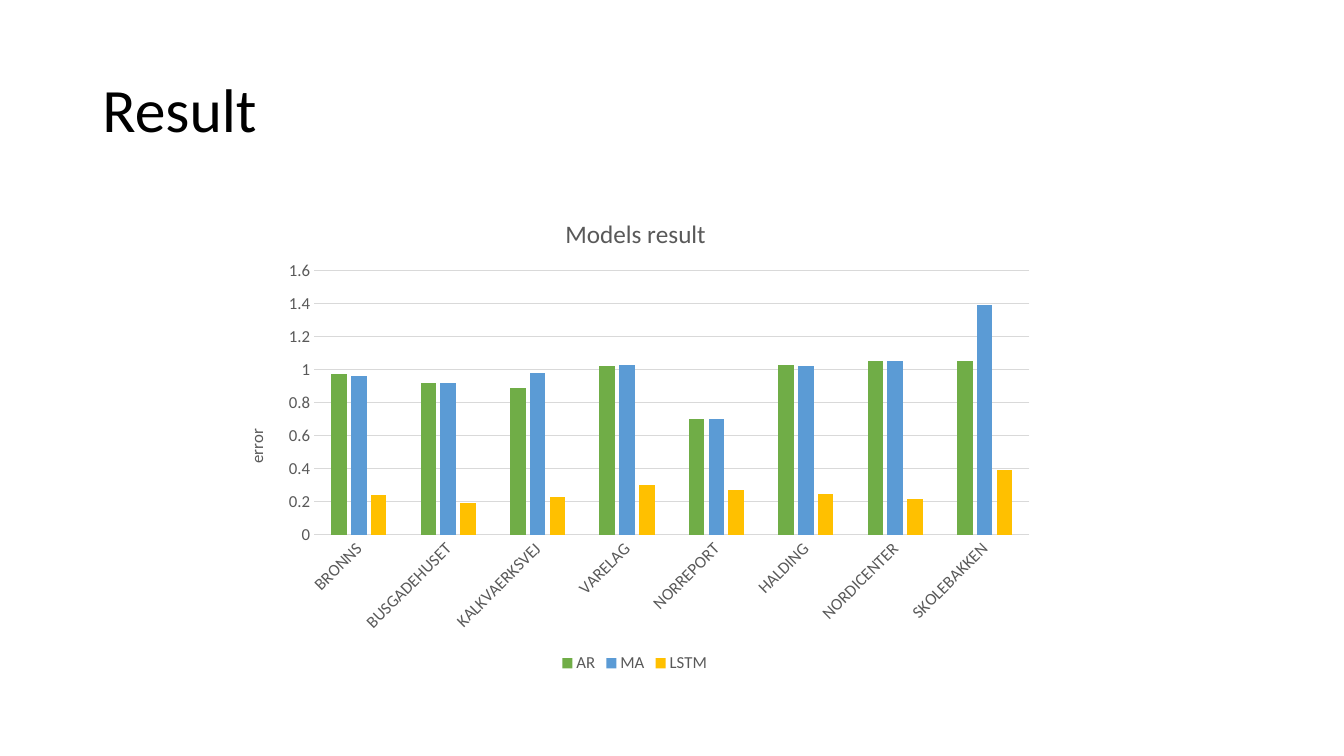
from dataclasses import dataclass

from lxml.etree import SubElement
from pptx import Presentation
from pptx.chart.chart import Chart
from pptx.chart.data import CategoryChartData
from pptx.dml.color import RGBColor
from pptx.enum.chart import XL_CHART_TYPE, XL_LEGEND_POSITION, XL_TICK_MARK
from pptx.enum.text import MSO_ANCHOR, PP_ALIGN
from pptx.oxml import parse_xml
from pptx.oxml.ns import nsdecls, qn
from pptx.slide import Slide
from pptx.text.text import Font, TextFrame
from pptx.util import Emu, Pt

EMU_PER_PX = 9525
FONT = "Calibri"
BLACK = "000000"
TEXT_GREY = "595959"
LINE_GREY = "D9D9D9"


@dataclass(frozen=True)
class Model:
    name: str
    colour: str
    errors: tuple[float, ...]


STATIONS = (
    "BRONNS", "BUSGADEHUSET", "KALKVAERKSVEJ", "VARELAG",
    "NORREPORT", "HALDING", "NORDICENTER", "SKOLEBAKKEN",
)
MODELS = (
    Model("AR", "70AD47", (0.97, 0.92, 0.89, 1.02, 0.7, 1.03, 1.05, 1.05)),
    Model("MA", "5B9BD5", (0.96, 0.92, 0.98, 1.03, 0.7, 1.02, 1.05, 1.39)),
    Model("LSTM", "FFC000", (0.24, 0.19, 0.23, 0.3, 0.27, 0.25, 0.22, 0.39)),
)


def px(length: int) -> Emu:
    return Emu(length * EMU_PER_PX)


def rgb(colour: str) -> RGBColor:
    return RGBColor.from_string(colour)


def style_font(font: Font, size: int, colour: str) -> None:
    font.name = FONT
    font.size = Pt(size)
    font.bold = False
    font.color.rgb = rgb(colour)


def write(frame: TextFrame, text: str, size: int, colour: str) -> None:
    run = frame.paragraphs[0].add_run()
    run.text = text
    style_font(run.font, size, colour)


def place(element, **fractions: float) -> None:
    for old in element.findall(qn("c:layout")):
        element.remove(old)
    layout = parse_xml(f"<c:layout {nsdecls('c')}><c:manualLayout/></c:layout>")
    manual = layout[0]
    if "w" in fractions:
        SubElement(manual, qn("c:layoutTarget")).set("val", "inner")
    for mode in ("xMode", "yMode"):
        SubElement(manual, qn(f"c:{mode}")).set("val", "edge")
    for key, fraction in fractions.items():
        SubElement(manual, qn(f"c:{key}")).set("val", str(fraction))
    text = element.find(qn("c:tx"))
    element.insert(0 if text is None else 1, layout)


def add_heading(slide: Slide) -> None:
    heading = slide.shapes.title
    heading.left, heading.top = px(88), px(38)
    heading.width, heading.height = px(1104), px(139)
    frame = heading.text_frame
    frame.vertical_anchor = MSO_ANCHOR.MIDDLE
    frame.paragraphs[0].alignment = PP_ALIGN.LEFT
    frame.paragraphs[0].line_spacing = 0.9
    write(frame, "Result", 44, BLACK)


def style_axes(chart: Chart) -> None:
    stations, errors = chart.category_axis, chart.value_axis
    for axis in (stations, errors):
        axis.major_tick_mark = XL_TICK_MARK.NONE
        axis.minor_tick_mark = XL_TICK_MARK.NONE
        style_font(axis.tick_labels.font, 12, TEXT_GREY)
    stations.has_major_gridlines = False
    errors.has_major_gridlines = True
    for line in (stations.format.line, errors.major_gridlines.format.line):
        line.color.rgb = rgb(LINE_GREY)
        line.width = Pt(0.75)
    errors.format.line.fill.background()
    errors.minimum_scale = 0
    errors.maximum_scale = 1.6
    errors.major_unit = 0.2
    errors.tick_labels.number_format = "General"
    errors.tick_labels.number_format_is_linked = False
    write(errors.axis_title.text_frame, "error", 12, TEXT_GREY)

    for target, angle in (
        ("//c:catAx/c:txPr/a:bodyPr", -45),
        ("//c:valAx/c:title//a:bodyPr", -90),
    ):
        for body in chart._chartSpace.xpath(target):
            body.set("rot", str(angle * 60000))
            body.set("vert", "horz")


def add_models_chart(slide: Slide) -> None:
    data = CategoryChartData()
    data.categories = STATIONS
    for model in MODELS:
        data.add_series(model.name, model.errors)
    chart = slide.shapes.add_chart(
        XL_CHART_TYPE.COLUMN_CLUSTERED, px(213), px(178), px(783), px(467), data
    ).chart
    style_font(chart.font, 10, BLACK)

    plot = chart.plots[0]
    plot.gap_width = 219
    plot.overlap = -27
    plot.vary_by_categories = False
    for model, series in zip(MODELS, plot.series):
        series.format.fill.solid()
        series.format.fill.fore_color.rgb = rgb(model.colour)
        series.invert_if_negative = False

    style_axes(chart)
    write(chart.chart_title.text_frame, "Models result", 18, TEXT_GREY)
    chart.has_legend = True
    chart.legend.position = XL_LEGEND_POSITION.BOTTOM
    chart.legend.include_in_layout = False
    style_font(chart.legend.font, 12, TEXT_GREY)

    space = chart._chartSpace
    place(space.xpath("c:chart/c:title")[0], x=0.41, y=0.05)
    place(space.xpath("c:chart/c:plotArea")[0], x=0.11, y=0.17, w=0.87, h=0.54)


def main() -> None:
    presentation = Presentation()
    presentation.slide_width = px(1280)
    presentation.slide_height = px(720)
    slide = presentation.slides.add_slide(presentation.slide_layouts[5])
    add_heading(slide)
    add_models_chart(slide)
    presentation.save("out.pptx")


if __name__ == "__main__":
    main()
